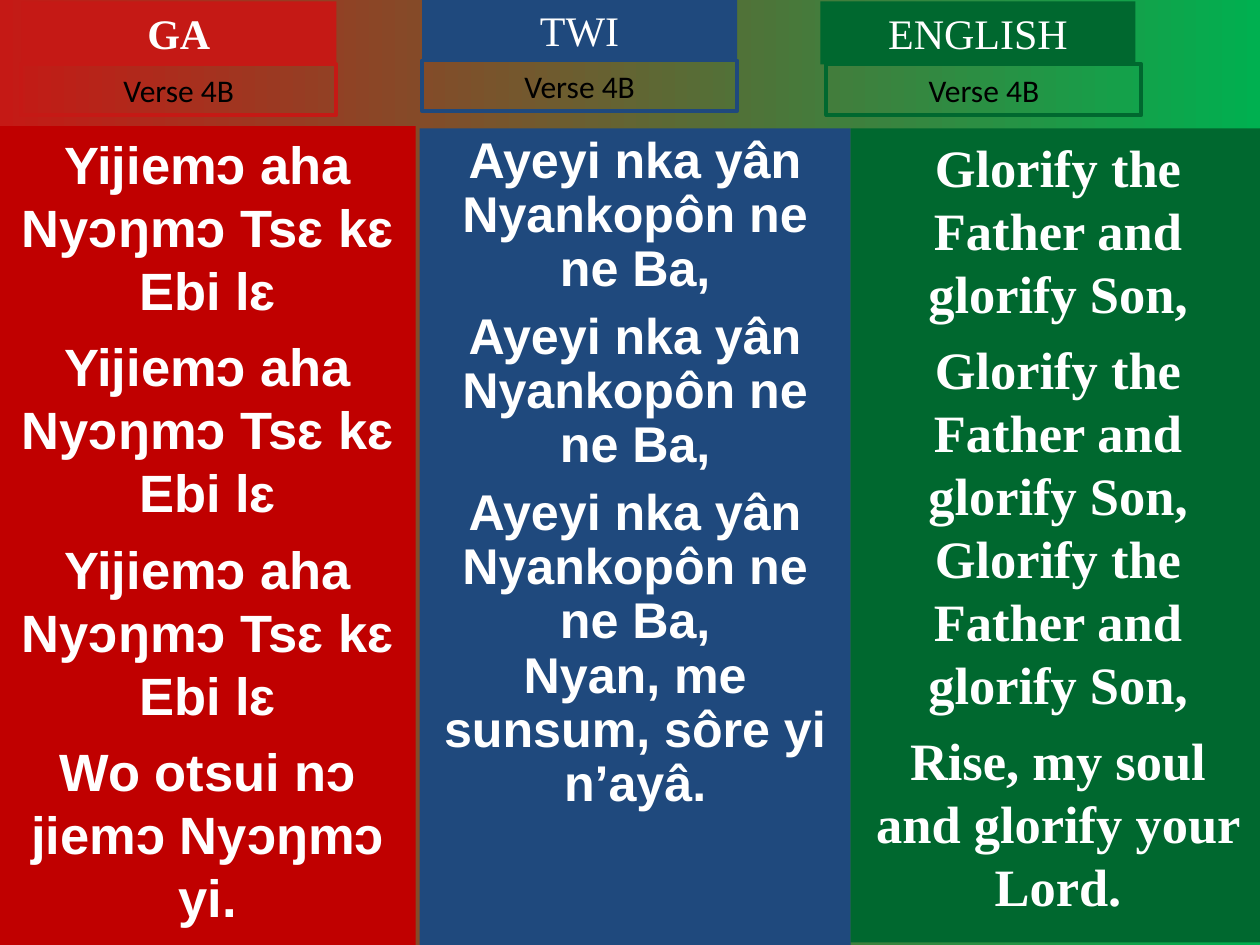
import pptx
import pptx.dml.color
import pptx.enum.text
import pptx.oxml.ns
import pptx.util
from lxml import etree

Cm = pptx.util.Cm
Pt = pptx.util.Pt
COLORS = {"red": "C51915", "dark_red": "C00000", "blue": "1F497D",
          "green": "00682F", "bright_green": "00B050",
          "white": "FFFFFF", "black": "000000"}


def rgb(name):
    return pptx.dml.color.RGBColor.from_string(COLORS[name])


def write(sp, text, box, fill=None, line=None, font="Arial", size=30,
          color="white", bold=False, before=0, spacing=None):
    sp.left, sp.top, sp.width, sp.height = [Cm(v) for v in box]
    if fill:
        sp.fill.solid()
        sp.fill.fore_color.rgb = rgb(fill)
    if line:
        sp.line.color.rgb = rgb(line)
        sp.line.width = Pt(2.25)
    tf = sp.text_frame
    tf.word_wrap = True
    tf.auto_size = pptx.enum.text.MSO_AUTO_SIZE.NONE
    tf.vertical_anchor = pptx.enum.text.MSO_ANCHOR.TOP
    for i, part in enumerate(text.split("\n")):
        p = tf.add_paragraph() if i else tf.paragraphs[0]
        p.text = part
        pPr = p._p.get_or_add_pPr()
        pPr.set("marL", "0")
        pPr.set("indent", "0")
        etree.SubElement(pPr, pptx.oxml.ns.qn("a:buNone"))
        p.alignment = pptx.enum.text.PP_ALIGN.CENTER
        p.space_before = Pt(before if i else 0)
        if spacing:
            p.line_spacing = spacing
        for r in p.runs:
            r.font.name = font
            r.font.size = Pt(size)
            r.font.bold = bold
            r.font.color.rgb = rgb(color)


prs = pptx.Presentation()
prs.slide_width, prs.slide_height = Cm(25.4), Cm(19.05)
s = prs.slides.add_slide(prs.slide_layouts[3])

bg = s.background.fill
bg.gradient()
bg.gradient_angle = 0
for stop, name in zip(bg.gradient_stops, ("red", "bright_green")):
    stop.color.rgb = rgb(name)

ga_line = "Yijiemɔ aha Nyɔŋmɔ Tsɛ kɛ Ebi lɛ"
twi_line = "Ayeyi nka yân Nyankopôn ne ne Ba,"
english_line = "Glorify the Father and glorify Son,"

columns = [
    dict(heading="GA", color="red", heading_at=(0.43, 0.03), verse_at=(0.43, 1.3),
         heading_sp=s.shapes.title, lyrics_sp=s.placeholders[1], heading_bold=True,
         lyrics=f"{ga_line}\n{ga_line}\n{ga_line}\nWo otsui nɔ jiemɔ Nyɔŋmɔ yi.",
         format=dict(box=(0, 2.54, 8.38, 16.51), fill="dark_red", before=7.5)),
    dict(heading="TWI", color="blue", heading_at=(8.51, -0.03), verse_at=(8.51, 1.22),
         lyrics_sp=s.placeholders[2],
         lyrics=f"{twi_line}\n{twi_line}\n{twi_line}\vNyan, me sunsum, sôre yi n’ayâ.",
         format=dict(box=(8.46, 2.59, 8.69, 16.46), fill="blue", size=28.7,
                     before=7.7, spacing=0.9)),
    dict(heading="ENGLISH", color="green", heading_at=(16.54, 0.03), verse_at=(16.66, 1.3),
         lyrics=f"{english_line}\n{english_line} {english_line}\n"
                "Rise, my soul and glorify your Lord.",
         format=dict(box=(17.15, 2.59, 8.36, 16.41), fill="green",
                     font="Times New Roman", before=7.5)),
]

for col in columns:
    lyrics_sp = col.get("lyrics_sp") or s.shapes.add_textbox(0, 0, 0, 0)
    write(lyrics_sp, col["lyrics"], bold=True, **col["format"])
    heading_sp = col.get("heading_sp") or s.shapes.add_textbox(0, 0, 0, 0)
    write(heading_sp, col["heading"], (*col["heading_at"], 6.35, 1.27), fill=col["color"],
          font="Times New Roman", size=24, bold=col.get("heading_bold", False))
    verse_sp = s.shapes.add_textbox(0, 0, 0, 0)
    write(verse_sp, "Verse 4B", (*col["verse_at"], 6.35, 1.02), line=col["color"],
          font="Calibri", size=18, color="black")

prs.save("out.pptx")
